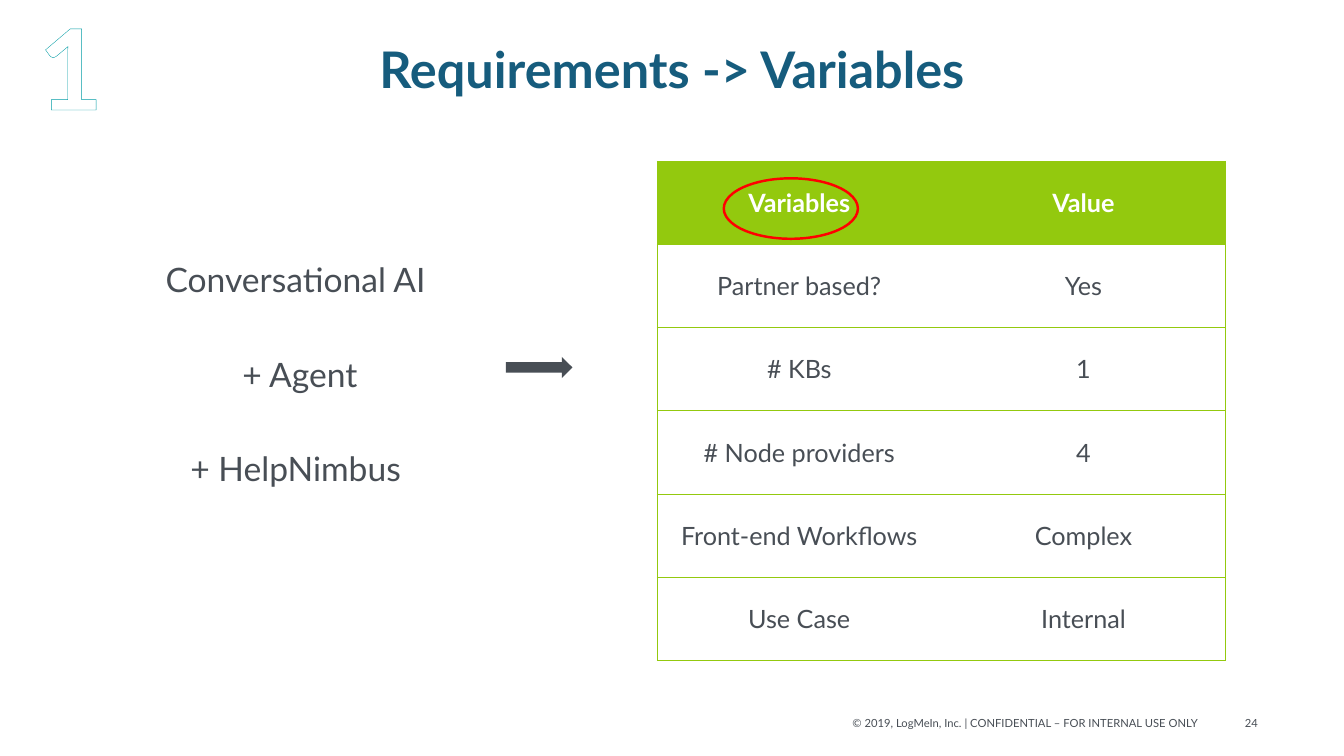
from dataclasses import dataclass

from lxml.etree import SubElement
from pptx import Presentation
from pptx.dml.color import RGBColor
from pptx.enum.shapes import MSO_SHAPE as Preset
from pptx.enum.text import MSO_ANCHOR as Anchor, PP_ALIGN as Align
from pptx.oxml import parse_xml
from pptx.oxml.ns import nsdecls, qn
from pptx.util import Pt

FONT = "Lato"
COLORS = {
    "text": "484E55",
    "title": "165C7D",
    "green": "93C90E",
    "white": "FFFFFF",
    "red": "FF0000",
    "outline": "009CA5",
    "hatch": "00B050",
}
NO_STYLE = "{2D5ABB26-0587-4C30-8999-92F81FD0307C}"


@dataclass
class Box:
    left: float
    top: float
    width: float
    height: float

    def lengths(self) -> tuple:
        return Pt(self.left), Pt(self.top), Pt(self.width), Pt(self.height)


@dataclass
class TextBlock:
    box: Box
    lines: tuple
    size: float
    color: str = "text"
    bold: bool = False
    align: Align = Align.CENTER
    line_spacing: float = 1.0
    space_before: float = 0
    wrap: bool = True


TEXT_BLOCKS = (
    TextBlock(Box(66, 28.8, 828, 92.9), ("Requirements -> Variables",), 36,
              "title", bold=True, line_spacing=0.9),
    TextBlock(Box(20.2, 167.3, 388, 220),
              ("Conversational AI ", "+ Agent", "+ HelpNimbus "), 24,
              line_spacing=1.5, space_before=24),
    TextBlock(Box(601.2, 508.3, 262, 17.3),
              ("© 2019, LogMeIn, Inc. | CONFIDENTIAL – FOR INTERNAL USE ONLY",), 8,
              align=Align.RIGHT, wrap=False),
    TextBlock(Box(882, 508.3, 23.8, 17.3), ("24",), 8, wrap=False),
)
STEP_NUMBER = TextBlock(Box(20.2, -5, 59.8, 104.4), ("1",), 80, bold=True)

TABLE_BOX = Box(469.4, 115.2, 406.1, 356.4)
TABLE_ROWS = (
    ("Variables", "Value"),
    ("Partner based?", "Yes"),
    ("# KBs", "1"),
    ("# Node providers", "4"),
    ("Front-end Workflows", "Complex"),
    ("Use Case", "Internal"),
)
ARROW_BOX = Box(361.4, 254.9, 47.5, 15.1)
HIGHLIGHT_BOX = Box(517, 127.4, 95.8, 43.2)


def rgb(name: str) -> RGBColor:
    return RGBColor.from_string(COLORS[name])


def style_paragraph(paragraph, size: float, color: str, bold: bool) -> None:
    font = paragraph.font
    font.name, font.size, font.bold = FONT, Pt(size), bold
    font.color.rgb = rgb(color)


def add_text(slide, block: TextBlock):
    shape = slide.shapes.add_textbox(*block.box.lengths())
    frame = shape.text_frame
    frame.word_wrap = block.wrap
    for index, line in enumerate(block.lines):
        paragraph = frame.add_paragraph() if index else frame.paragraphs[0]
        paragraph.text = line
        paragraph.alignment = block.align
        paragraph.line_spacing = block.line_spacing
        if index:
            paragraph.space_before = Pt(block.space_before)
        style_paragraph(paragraph, block.size, block.color, block.bold)
    return shape


def add_step_number(slide) -> None:
    """Draw the large digit with an outline and a hatched fill."""
    shape = add_text(slide, STEP_NUMBER)
    properties = shape.text_frame.paragraphs[0].runs[0].font._element
    properties.append(parse_xml(
        f'<a:ln {nsdecls("a")} w="{Pt(1)}"><a:solidFill>'
        f'<a:srgbClr val="{COLORS["outline"]}"/></a:solidFill></a:ln>'))
    properties.append(parse_xml(
        f'<a:pattFill {nsdecls("a")} prst="ltDnDiag">'
        f'<a:fgClr><a:srgbClr val="{COLORS["hatch"]}"/></a:fgClr>'
        f'<a:bgClr><a:srgbClr val="{COLORS["white"]}"/></a:bgClr></a:pattFill>'))


def set_borders(cell, sides: str) -> None:
    """Draw thin green borders on the given sides, in the order L, R, T, B."""
    properties = cell._tc.get_or_add_tcPr()
    for index, side in enumerate(sides):
        line = parse_xml(f'<a:ln{side} {nsdecls("a")} w="{Pt(0.5)}"/>')
        fill = SubElement(line, qn("a:solidFill"))
        SubElement(fill, qn("a:srgbClr"), val=COLORS["green"])
        properties.insert(index, line)


def add_variables_table(slide) -> None:
    row_count, column_count = len(TABLE_ROWS), len(TABLE_ROWS[0])
    table = slide.shapes.add_table(
        row_count, column_count, *TABLE_BOX.lengths()).table
    table._tbl.tblPr.find(qn("a:tableStyleId")).text = NO_STYLE
    table.horz_banding = False
    for column in table.columns:
        column.width = Pt(TABLE_BOX.width / column_count)
    for row_index, texts in enumerate(TABLE_ROWS):
        table.rows[row_index].height = Pt(TABLE_BOX.height / row_count)
        header = row_index == 0
        for column_index, text in enumerate(texts):
            cell = table.cell(row_index, column_index)
            cell.text = text
            cell.vertical_anchor = Anchor.MIDDLE
            paragraph = cell.text_frame.paragraphs[0]
            paragraph.alignment = Align.CENTER
            style_paragraph(paragraph, 18, "white" if header else "text", header)
            if header:
                cell.fill.solid()
                cell.fill.fore_color.rgb = rgb("green")
            else:
                cell.fill.background()
            set_borders(cell, ("R" if column_index else "L") + "TB")


def add_arrow(slide) -> None:
    arrow = slide.shapes.add_shape(Preset.RIGHT_ARROW, *ARROW_BOX.lengths())
    arrow.shadow.inherit = False
    arrow.fill.solid()
    arrow.fill.fore_color.rgb = rgb("text")
    arrow.line.fill.background()


def add_highlight(slide) -> None:
    ellipse = slide.shapes.add_shape(Preset.OVAL, *HIGHLIGHT_BOX.lengths())
    ellipse.shadow.inherit = False
    ellipse.fill.background()
    ellipse.line.color.rgb = rgb("red")
    ellipse.line.width = Pt(1.75)


def main() -> None:
    presentation = Presentation()
    presentation.slide_width, presentation.slide_height = Pt(960), Pt(540)
    slide = presentation.slides.add_slide(presentation.slide_layouts[6])
    for block in TEXT_BLOCKS:
        add_text(slide, block)
    add_arrow(slide)
    add_variables_table(slide)
    add_highlight(slide)
    add_step_number(slide)
    presentation.save("out.pptx")


if __name__ == "__main__":
    main()
